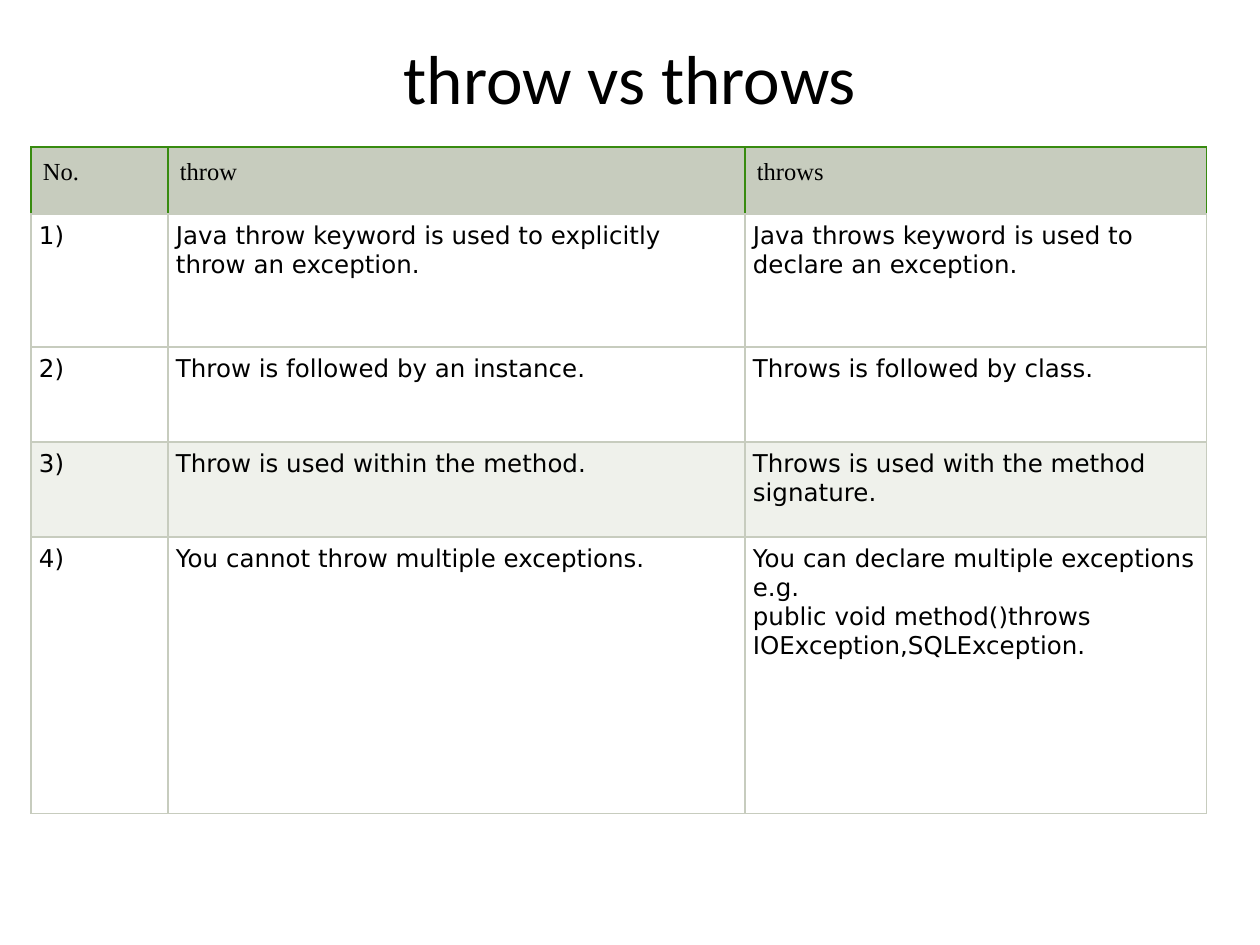
from lxml.etree import SubElement
from pptx import Presentation
from pptx.dml.color import RGBColor
from pptx.enum.text import MSO_ANCHOR, PP_ALIGN
from pptx.oxml.ns import qn
from pptx.util import Pt

PX = 914400 / 126
COLORS = {
    "text": "000000",
    "header": "C7CCBE",
    "border": "C7CCBE",
    "accent": "388B10",
    "plain": "FFFFFF",
    "band": "EFF1EB",
}
COLUMN_WIDTHS = [137, 577, 462]
ROW_HEIGHTS = [67, 133, 95, 95, 277]
ROW_FILLS = ["header", "plain", "plain", "band", "plain"]
ROWS = [
    ["No.", "throw", "throws"],
    ["1)", "Java throw keyword is used to explicitly throw an exception.",
     "Java throws keyword is used to declare an exception."],
    ["2)", "Throw is followed by an instance.", "Throws is followed by class."],
    ["3)", "Throw is used within the method.",
     "Throws is used with the method signature."],
    ["4)", "You cannot throw multiple exceptions.",
     "You can declare multiple exceptions e.g.\v"
     "public void method()throws IOException,SQLException."],
]


def px(length):
    """Turn pixels into EMU."""
    return round(length * PX)


def set_font(paragraph, name, size):
    """Set the font of a whole paragraph."""
    font = paragraph.font
    font.name, font.size = name, Pt(size)
    font.color.rgb = RGBColor.from_string(COLORS["text"])


def set_borders(cell, side_colors):
    """Draw a thin line on each side of a cell, sides given as L, R, T, B."""
    properties = cell._tc.get_or_add_tcPr()
    for side, color in side_colors.items():
        line = SubElement(properties, qn(f"a:ln{side}"), w=str(Pt(0.75)))
        fill = SubElement(line, qn("a:solidFill"))
        SubElement(fill, qn("a:srgbClr"), val=COLORS[color])


def fill_cell(cell, text, fill, is_header):
    """Give a cell its text, margins, borders and fill."""
    margin = px(12 if is_header else 8)
    cell.margin_left = cell.margin_right = margin
    cell.margin_top = cell.margin_bottom = margin
    cell.vertical_anchor = MSO_ANCHOR.TOP
    paragraph = cell.text_frame.paragraphs[0]
    paragraph.text = text
    set_font(paragraph, "Times New Roman" if is_header else "DejaVu Sans", 14)
    side_color = "accent" if is_header else "border"
    set_borders(cell, {"L": side_color, "R": side_color, "T": side_color, "B": "border"})
    cell.fill.solid()
    cell.fill.fore_color.rgb = RGBColor.from_string(COLORS[fill])


def add_title(slide, text, left, top, width, height):
    """Add the centred slide title."""
    shape = slide.shapes.add_textbox(px(left), px(top), px(width), px(height))
    frame = shape.text_frame
    frame.word_wrap = True
    frame.vertical_anchor = MSO_ANCHOR.MIDDLE
    paragraph = frame.paragraphs[0]
    paragraph.text = text
    paragraph.alignment = PP_ALIGN.CENTER
    set_font(paragraph, "Calibri", 39.6)


def add_comparison(slide, left, top):
    """Add the comparison table with its corner at the given point."""
    table = slide.shapes.add_table(
        len(ROWS), len(COLUMN_WIDTHS), px(left), px(top),
        px(sum(COLUMN_WIDTHS)), px(sum(ROW_HEIGHTS))).table
    table.horz_banding = False
    for column, width in zip(table.columns, COLUMN_WIDTHS):
        column.width = px(width)
    for index, (row, height) in enumerate(zip(table.rows, ROW_HEIGHTS)):
        row.height = px(height)
        for cell, text in zip(row.cells, ROWS[index]):
            fill_cell(cell, text, ROW_FILLS[index], index == 0)
    table.first_row = False


def main():
    """Build and save the presentation."""
    presentation = Presentation()
    presentation.slide_width, presentation.slide_height = px(1260), px(945)
    slide = presentation.slides.add_slide(presentation.slide_layouts[6])
    add_title(slide, "throw vs throws", 63, 38, 1134, 78)
    add_comparison(slide, 31, 147)
    presentation.save("out.pptx")


if __name__ == "__main__":
    main()
